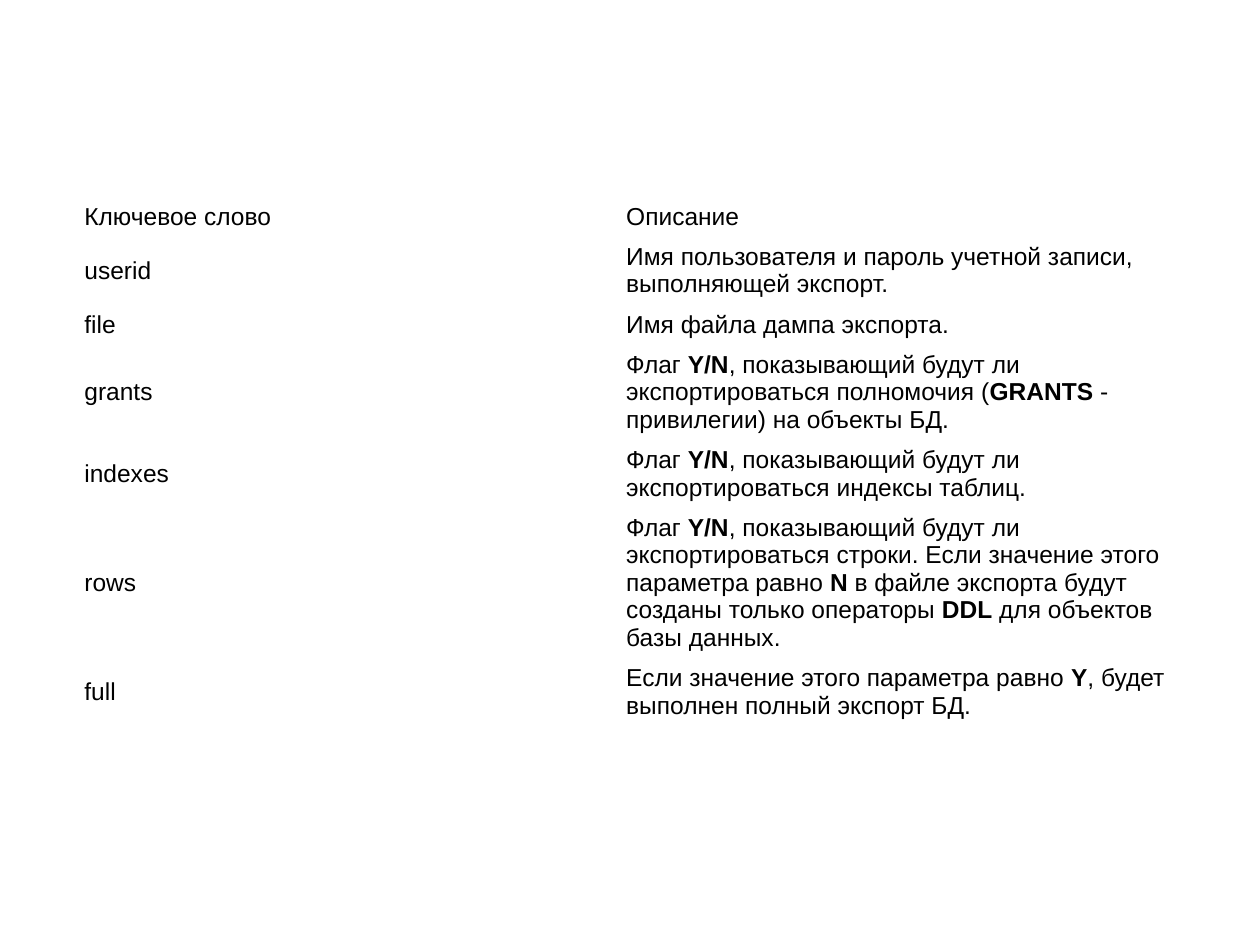
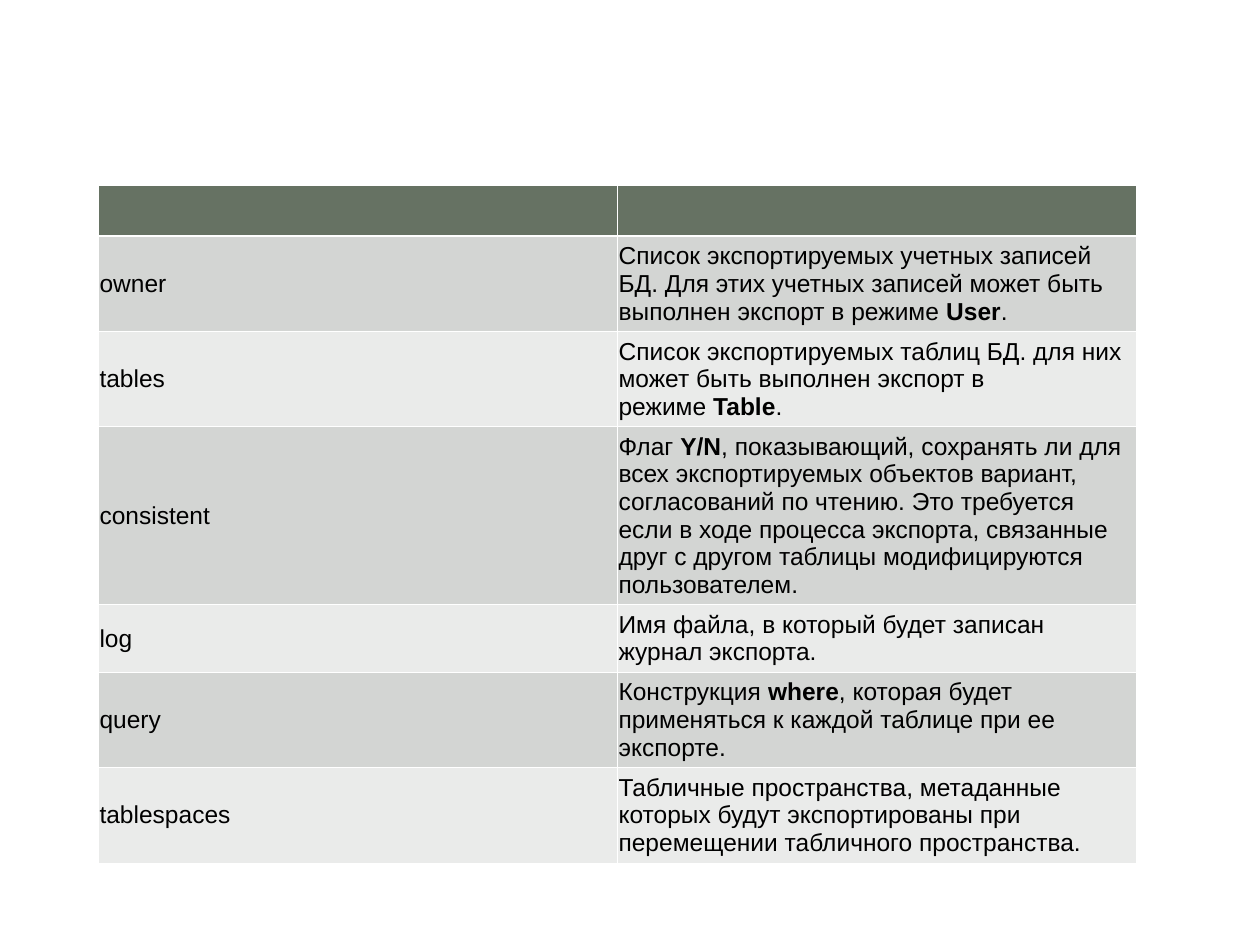
"""Build two slides of tables that describe the export parameters."""
from lxml import etree
from pptx import Presentation
from pptx.dml.color import RGBColor
from pptx.enum.text import MSO_ANCHOR
from pptx.oxml.ns import qn
from pptx.util import Inches, Pt

MIDDLE = MSO_ANCHOR.MIDDLE
SLIDE_SIZE = (10, 7.5)
BLANK_LAYOUT = 6
BLACK, WHITE = "000000", "FFFFFF"
HEADER_GREEN, BAND_DARK, BAND_LIGHT = "667263", "D3D5D3", "EAEBEA"
THIN, THICK = 0.45, 1.47
NBSP = chr(160)

ROW_HEIGHTS = {"header": 0.4, 1: 0.24, 2: 0.48, 3: 0.71, 5: 1.18, 6: 1.41}
CELL_FORMAT = {
    "vertical_anchor": MIDDLE,
    "margin_left": Inches(0.01),
    "margin_right": Inches(0.01),
    "margin_top": Inches(0.05),
    "margin_bottom": Inches(0.05),
}
FONT_FORMAT = {"name": "Arial", "size": Pt(14)}

# Each row: keyword, description with *bold* spans, number of text lines.
BASIC_ROWS = [
    ("Ключевое слово", "Описание", 1),
    ("userid", "Имя пользователя и пароль учетной записи, выполняющей экспорт.", 2),
    ("file", "Имя файла дампа экспорта.", 1),
    ("grants", "Флаг *Y/N*, показывающий будут ли экспортироваться полномочия "
               "(*GRANTS* - привилегии) на объекты БД.", 3),
    ("indexes", "Флаг *Y/N*, показывающий будут ли экспортироваться индексы таблиц.", 2),
    ("rows", "Флаг *Y/N*, показывающий будут ли экспортироваться строки. Если значение "
             "этого параметра равно *N* в файле экспорта будут созданы только операторы "
             "*DDL* для объектов базы данных.", 5),
    ("full", "Если значение этого параметра равно *Y*, будет выполнен полный экспорт БД.", 2),
]
EXTRA_ROWS = [
    ("", "", "header"),
    ("owner", "Список экспортируемых учетных записей БД. Для этих учетных записей "
              "может быть выполнен экспорт в режиме *User*.", 3),
    ("tables", "Список экспортируемых таблиц БД. для них может быть выполнен экспорт "
               "в режиме *Table*.", 3),
    ("consistent", "Флаг *Y/N*, показывающий, сохранять ли для всех экспортируемых "
                   "объектов вариант, согласований по чтению. Это требуется если в ходе "
                   "процесса экспорта, связанные друг с другом таблицы модифицируются "
                   "пользователем.", 6),
    ("log", "Имя файла, в который будет записан журнал экспорта.", 2),
    ("query", "Конструкция *where*, которая будет применяться к каждой таблице "
              "при ее экспорте.", 3),
    ("tablespaces", "Табличные пространства, метаданные которых будут экспортированы "
                    "при перемещении табличного пространства.", 3),
]
TABLES = [
    {"rows": BASIC_ROWS, "left": 0.66, "top": 1.56, "banded": False},
    {"rows": EXTRA_ROWS, "left": 0.78, "top": 1.47, "banded": True},
]


def color(code):
    return RGBColor.from_string(code)


def apply_format(target, values):
    for name, value in values.items():
        setattr(target, name, value)


def write_text(cell, text):
    apply_format(cell, CELL_FORMAT)
    para = cell.text_frame.paragraphs[0]
    joined = text.replace(" *", NBSP + "*").replace("* ", "*" + NBSP)
    for position, part in enumerate(joined.split("*")):
        span = para.add_run()
        span.text = part
        apply_format(span.font, {**FONT_FORMAT, "bold": position % 2 == 1})
        span.font.color.rgb = color(BLACK)


def add_borders(cell, widths):
    properties = cell._tc.get_or_add_tcPr()
    for side, width in widths.items():
        line = etree.SubElement(properties, qn(f"a:ln{side}"), w=str(Pt(width)))
        fill = etree.SubElement(line, qn("a:solidFill"))
        etree.SubElement(fill, qn("a:srgbClr"), val=WHITE)


def band_style(index):
    """Return the fill and border widths of a banded row."""
    widths = {"L": THIN, "R": THIN, "T": THIN, "B": THIN}
    if index == 0:
        return HEADER_GREEN, {**widths, "B": THICK}
    if index == 1:
        widths["T"] = THICK
    return (BAND_DARK if index % 2 else BAND_LIGHT), widths


def add_parameter_table(slide, rows, left, top, banded):
    heights = [ROW_HEIGHTS[lines] for _, _, lines in rows]
    width = SLIDE_SIZE[0] - 2 * left - (0.2 if banded else 0.08)
    frame = slide.shapes.add_table(
        len(rows), 2, Inches(left), Inches(top), Inches(width), Inches(sum(heights)))
    table = frame.table
    apply_format(table, {"first_row": False, "horz_banding": False})
    for index, (keyword, description, _) in enumerate(rows):
        table.rows[index].height = Inches(heights[index])
        fill, widths = band_style(index) if banded else (WHITE, {})
        for column, text in enumerate((keyword, description)):
            cell = table.cell(index, column)
            if text:
                write_text(cell, text)
            add_borders(cell, widths)
            cell.fill.solid()
            cell.fill.fore_color.rgb = color(fill)


def main():
    deck = Presentation()
    deck.slide_width, deck.slide_height = map(Inches, SLIDE_SIZE)
    for content in TABLES:
        slide = deck.slides.add_slide(deck.slide_layouts[BLANK_LAYOUT])
        add_parameter_table(slide, **content)
    deck.save("out.pptx")


if __name__ == "__main__":
    main()
